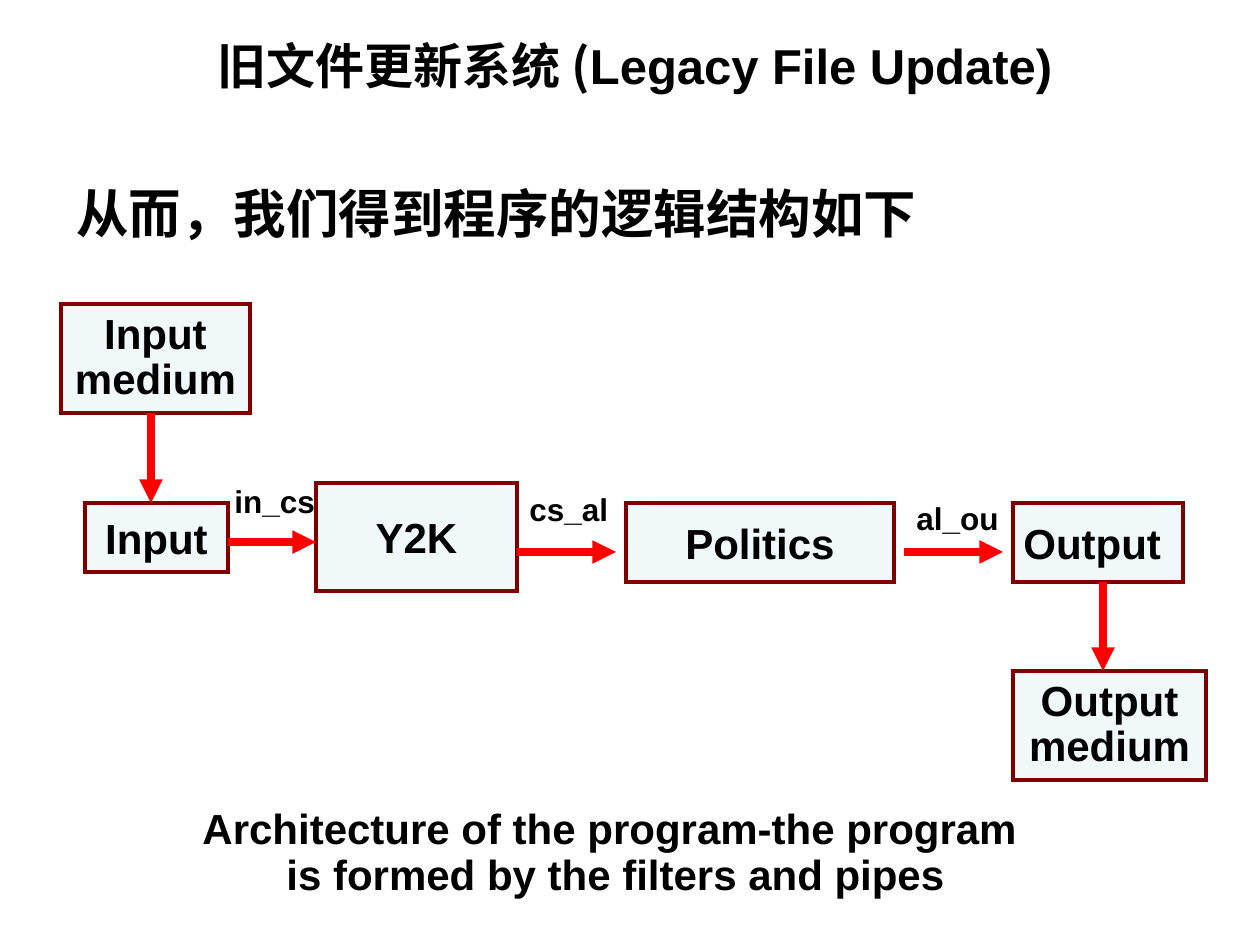
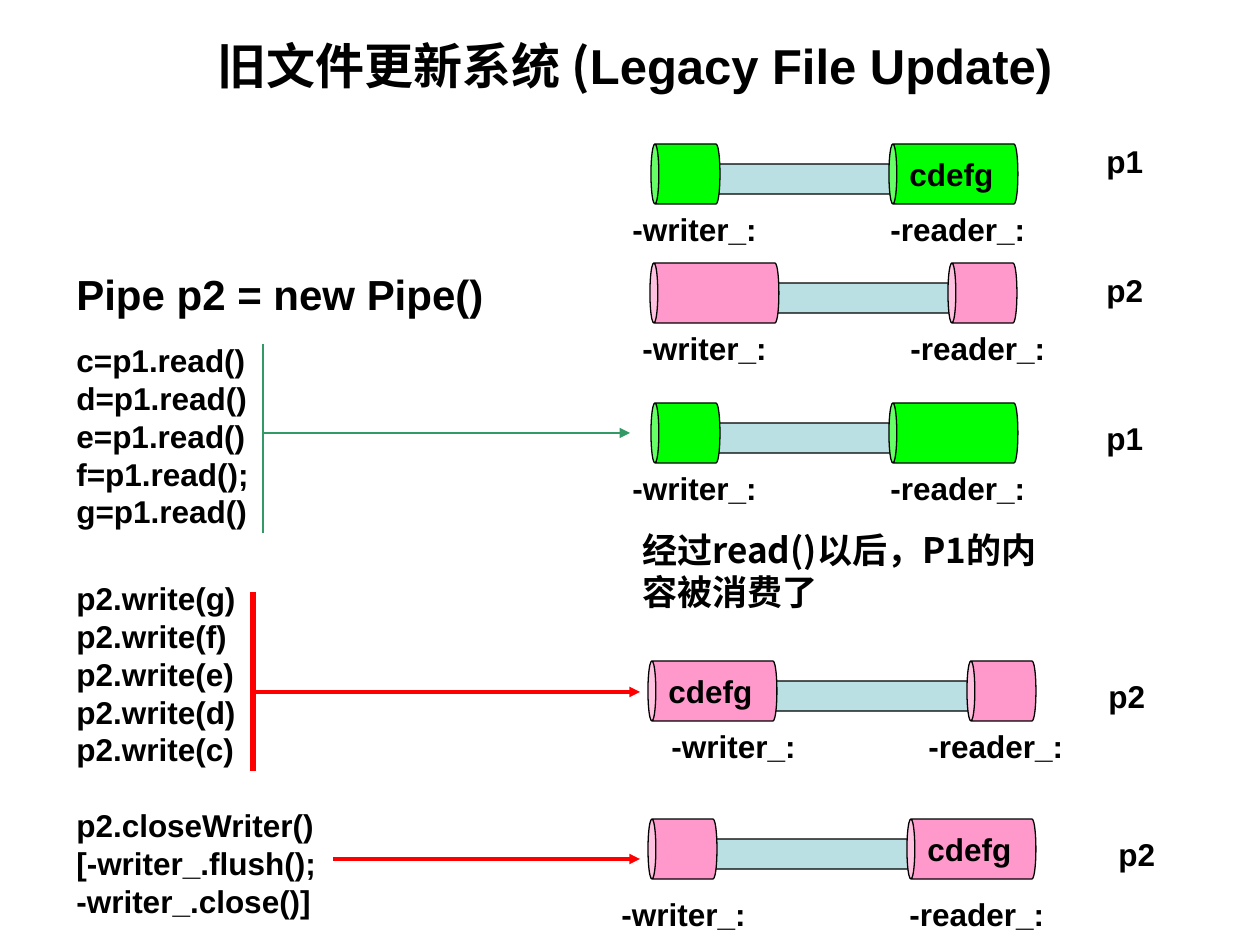
from lxml.etree import SubElement
from pptx import Presentation
from pptx.dml.color import RGBColor
from pptx.enum.shapes import MSO_CONNECTOR, MSO_SHAPE
from pptx.enum.text import MSO_ANCHOR, MSO_AUTO_SIZE, PP_ALIGN
from pptx.oxml.ns import qn
from pptx.util import Emu, Pt

BLACK = RGBColor(0x00, 0x00, 0x00)
RED = RGBColor(0xFF, 0x00, 0x00)
MAROON = RGBColor(0x80, 0x00, 0x00)
PALE_BLUE = RGBColor(0xBB, 0xE0, 0xE3)
LIME = RGBColor(0x00, 0xFF, 0x00)
PINK = RGBColor(0xFF, 0x99, 0xCC)
GREEN = RGBColor(0x33, 0x99, 0x66)

LATIN = "Arial"
CHINESE = "Noto Sans CJK SC"
EMU_PER_PX = 914400 / 126

TITLE_RUNS = [("旧文件更新系统 (", CHINESE), ("Legacy File Update)", LATIN)]
TITLE_BOX = (64, 36, 1142, 66)

CAPTION = ["Architecture of the program-the program ", "is formed by the filters and pipes"]
FLOW_BOXES = [
    (["Input", "medium"], (61, 304, 189, 109)),
    (["Input"], (85, 503, 143, 69)),
    (["Y2K"], (316, 483, 201, 108)),
    (["Politics"], (626, 503, 268, 79)),
    (["Output "], (1013, 503, 170, 79)),
    (["Output", "medium"], (1013, 671, 193, 109)),
]
FLOW_ARROWS = [
    (151, 413, 151, 503),
    (228, 542, 316, 542),
    (517, 552, 616, 552),
    (1103, 582, 1103, 671),
    (904, 552, 1003, 552),
]
PIPE_LABELS = [
    ("in_cs", (222, 476, 112, 51)),
    ("cs_al", (517, 484, 112, 51)),
    ("al_ou", (904, 493, 114, 51)),
]

CODE_BLOCKS = [
    (["c=p1.read()", "d=p1.read()", "e=p1.read()", "f=p1.read();", "g=p1.read()"],
     (64, 335, 248, 202)),
    (["p2.write(g)", "p2.write(f)", "p2.write(e)", "p2.write(d)", "p2.write(c)"],
     (64, 573, 198, 202)),
    (["p2.closeWriter()", "[-writer_.flush();", "-writer_.close()]"],
     (64, 800, 318, 126)),
]
CODE_LINES = [
    ((263, 433, 630, 433), GREEN, 0.75, True),
    ((263, 344, 263, 533), GREEN, 0.75, False),
    ((253, 592, 253, 771), RED, 3, False),
    ((253, 692, 640, 692), RED, 2, True),
    ((333, 859, 640, 859), RED, 2, True),
]

CAN_HEIGHT = 60
TUBE_HEIGHT = 30
TUBE_WIDTH = 258
TUBE_DROP = 5
EMPTY_WIDTH = 69
BUFFER_WIDTH = 129
PIPES = [
    {"name": "p1", "name_at": (1094, 136), "color": LIME, "buffer": "reader", "content": "cdefg",
     "middle": 174, "left": 651, "right": 1018, "tube": 689, "labels": (620, 878, 204)},
    {"name": "p2", "name_at": (1094, 265), "color": PINK, "buffer": "writer", "content": "",
     "middle": 293, "left": 650, "right": 1017, "tube": 739, "labels": (630, 898, 323)},
    {"name": "p1", "name_at": (1094, 413), "color": LIME, "buffer": "reader", "content": "",
     "middle": 433, "left": 651, "right": 1018, "tube": 689, "labels": (620, 878, 463)},
    {"name": "p2", "name_at": (1096, 671), "color": PINK, "buffer": "writer", "content": "cdefg",
     "middle": 691, "left": 648, "right": 1036, "tube": 728, "labels": (659, 916, 721)},
    {"name": "p2", "name_at": (1106, 829), "color": PINK, "buffer": "reader", "content": "cdefg",
     "middle": 849, "left": 648, "right": 1036, "tube": 679, "labels": (609, 897, 889)},
]


def px(*lengths):
    return [Emu(round(length * EMU_PER_PX)) for length in lengths]


def format_run(run, size, font_name):
    run.font.size = Pt(size)
    run.font.bold = True
    run.font.color.rgb = BLACK
    run.font.name = font_name
    SubElement(run._r.get_or_add_rPr(), qn("a:ea")).set("typeface", font_name)


def write_lines(text_frame, lines, size, font_name=LATIN, align=PP_ALIGN.LEFT, spacing=None):
    text_frame.text = "\n".join(lines)
    for paragraph in text_frame.paragraphs:
        paragraph.alignment = align
        paragraph.line_spacing = spacing
        for run in paragraph.runs:
            format_run(run, size, font_name)


def add_text(shapes, box, lines, size, wrap=True, **style):
    text_frame = shapes.add_textbox(*px(*box)).text_frame
    text_frame.word_wrap = wrap
    text_frame.auto_size = MSO_AUTO_SIZE.SHAPE_TO_FIT_TEXT
    write_lines(text_frame, lines, size, **style)
    return text_frame


def add_label(shapes, text, box, size=18):
    add_text(shapes, box, [text], size, wrap=False)


def add_title(slide):
    text_frame = add_text(slide.shapes, TITLE_BOX, [""], 28, align=PP_ALIGN.CENTER, spacing=0.9)
    for text, font_name in TITLE_RUNS:
        run = text_frame.paragraphs[0].add_run()
        run.text = text
        format_run(run, 28, font_name)


def add_line(slide, ends, color, width, arrow=True):
    connector = slide.shapes.add_connector(MSO_CONNECTOR.STRAIGHT, *px(*ends))
    connector.line.color.rgb = color
    connector.line.width = Pt(width)
    if arrow:
        SubElement(connector.line._get_or_add_ln(), qn("a:tailEnd")).set("type", "triangle")
    SubElement(connector._element.spPr, qn("a:effectLst"))


def add_filled_shape(shapes, kind, box, fill, line, line_width):
    shape = shapes.add_shape(kind, *px(*box))
    shape.shadow.inherit = False
    shape.fill.solid()
    shape.fill.fore_color.rgb = fill
    shape.line.color.rgb = line
    shape.line.width = Pt(line_width)
    shape.text_frame.word_wrap = False
    shape.text_frame.vertical_anchor = MSO_ANCHOR.MIDDLE
    return shape


def add_flow_box(slide, lines, box):
    shape = add_filled_shape(slide.shapes, MSO_SHAPE.RECTANGLE, box, PALE_BLUE, MAROON, 2.5)
    SubElement(shape.line._get_or_add_ln(), qn("a:miter")).set("lim", "800000")
    color = shape.fill._xPr.find(qn("a:solidFill"))[0]
    SubElement(color, qn("a:alpha")).set("val", "20000")
    spacing = 0.9 if len(lines) > 1 else None
    write_lines(shape.text_frame, lines, 24, align=PP_ALIGN.CENTER, spacing=spacing)


def add_can(shapes, left, middle, width, height, color, content=""):
    center = left + width / 2
    box = (center - height / 2, middle - width / 2, height, width)
    can = add_filled_shape(shapes, MSO_SHAPE.CAN, box, color, BLACK, 0.75)
    can.rotation = 270
    can.adjustments[0] = 0.131
    if content:
        text_frame = can.text_frame
        text_frame._txBody.bodyPr.set("vert", "eaVert")
        text_frame.margin_left = text_frame.margin_right = Pt(3.6)
        text_frame.margin_top = text_frame.margin_bottom = Pt(7.2)
        write_lines(text_frame, [content], 18, align=PP_ALIGN.CENTER)


def add_pipe(slide, pipe):
    shapes = slide.shapes.add_group_shape().shapes
    middle = pipe["middle"]
    add_can(shapes, pipe["tube"], middle + TUBE_DROP, TUBE_WIDTH, TUBE_HEIGHT, PALE_BLUE)
    for end in ("writer", "reader"):
        holds_buffer = pipe["buffer"] == end
        width = BUFFER_WIDTH if holds_buffer else EMPTY_WIDTH
        left = pipe["left"] if end == "writer" else pipe["right"] - width
        content = pipe["content"] if holds_buffer else ""
        add_can(shapes, left, middle, width, CAN_HEIGHT, pipe["color"], content)
    writer_left, reader_left, label_top = pipe["labels"]
    add_label(shapes, "-writer_:", (writer_left, label_top, 158, 51))
    add_label(shapes, "-reader_:", (reader_left, label_top, 168, 51))
    add_label(slide.shapes, pipe["name"], (*pipe["name_at"], 66, 51))


def build_architecture(slide):
    caption = add_text(slide.shapes, (34, 810, 1163, 100), CAPTION, 24,
                       align=PP_ALIGN.CENTER, spacing=0.7)
    caption.auto_size = MSO_AUTO_SIZE.NONE
    caption.paragraphs[1].space_before = Pt(6)
    for lines, box in FLOW_BOXES:
        add_flow_box(slide, lines, box)
    for ends in FLOW_ARROWS:
        add_line(slide, ends, RED, 4.5)
    for text, box in PIPE_LABELS:
        add_label(slide.shapes, text, box)
    add_text(slide.shapes, (64, 175, 953, 76), ["从而，我们得到程序的逻辑结构如下"], 30,
             font_name=CHINESE)


def build_pipe_states(slide):
    add_label(slide.shapes, "Pipe p2 = new Pipe()", (64, 262, 440, 63), 24)
    for lines, box in CODE_BLOCKS:
        add_text(slide.shapes, box, lines, 18)
    for pipe in PIPES:
        add_pipe(slide, pipe)
    for ends, color, width, arrow in CODE_LINES:
        add_line(slide, ends, color, width, arrow)
    add_text(slide.shapes, (630, 522, 427, 97), ["经过read()以后，P1的内容被消费了"], 20,
             font_name=CHINESE)


def main():
    presentation = Presentation()
    presentation.slide_width, presentation.slide_height = px(1260, 945)
    for build in (build_architecture, build_pipe_states):
        slide = presentation.slides.add_slide(presentation.slide_layouts[6])
        build(slide)
        add_title(slide)
    presentation.save("out.pptx")


if __name__ == "__main__":
    main()
